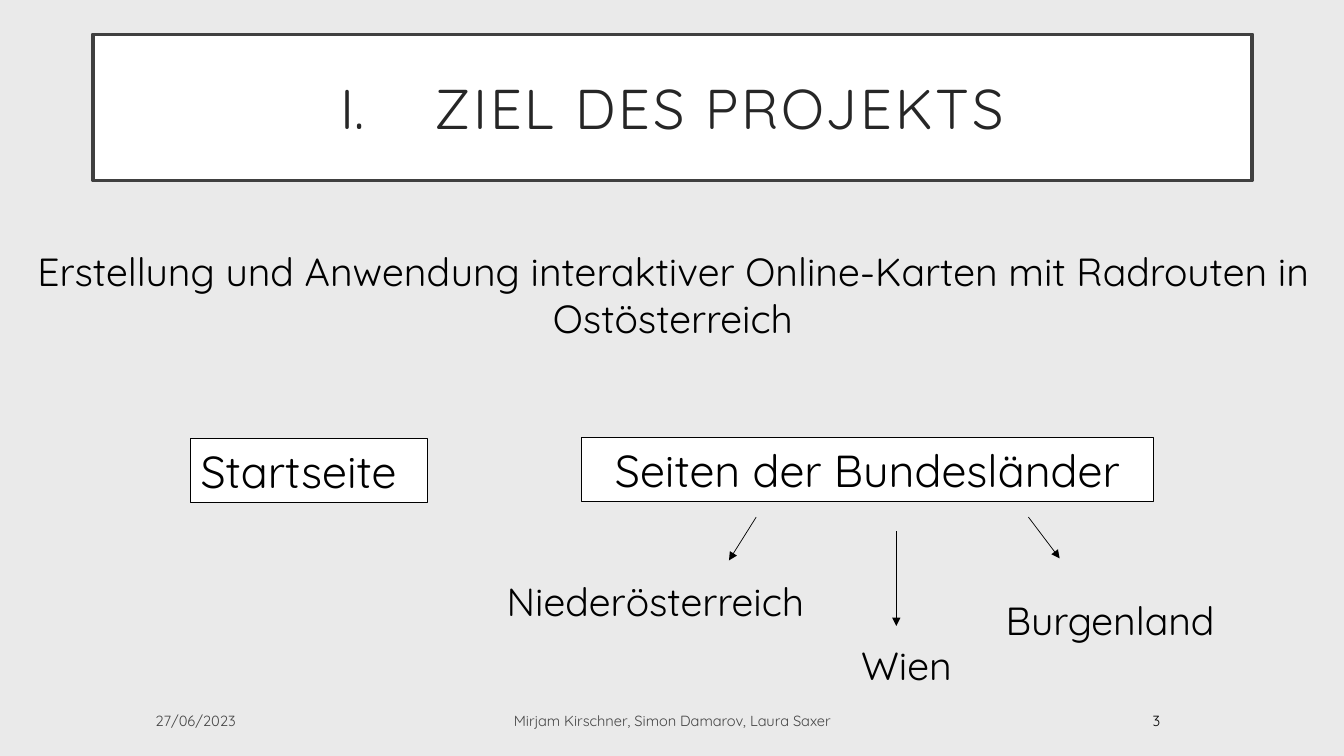
import pptx
import pptx.util
import pptx.dml.color
import pptx.enum.text
import pptx.oxml.ns
from lxml import etree

Inches = pptx.util.Inches
Pt = pptx.util.Pt
RGBColor = pptx.dml.color.RGBColor
PP_ALIGN = pptx.enum.text.PP_ALIGN
ANCHOR = pptx.enum.text.MSO_ANCHOR
qn = pptx.oxml.ns.qn

FONT = "Quicksand"
BACKGROUND = RGBColor(0xEA, 0xEA, 0xEA)
WHITE = RGBColor(0xFF, 0xFF, 0xFF)
BLACK = RGBColor(0x00, 0x00, 0x00)
FRAME = RGBColor(0x40, 0x40, 0x40)
TITLE_TEXT = RGBColor(0x26, 0x26, 0x26)


def write(shape, text, size, color=BLACK, align=PP_ALIGN.CENTER, anchor=ANCHOR.TOP):
    frame = shape.text_frame
    frame.text = text
    frame.word_wrap = True
    frame.auto_size = pptx.enum.text.MSO_AUTO_SIZE.NONE
    frame.vertical_anchor = anchor
    paragraph = frame.paragraphs[0]
    paragraph.alignment = align
    run = paragraph.runs[0]
    run.font.name = FONT
    run.font.size = Pt(size)
    run.font.color.rgb = color
    return run


def add_text(left, top, width, height, text, size, **style):
    box = slide.shapes.add_textbox(Inches(left), Inches(top), Inches(width), Inches(height))
    return box, write(box, text, size, **style)


presentation = pptx.Presentation()
presentation.slide_width = Inches(13.33)
presentation.slide_height = Inches(7.5)
slide = presentation.slides.add_slide(presentation.slide_layouts[5])
slide.background.fill.solid()
slide.background.fill.fore_color.rgb = BACKGROUND

title = slide.shapes.title
title.left, title.top = Inches(0.92), Inches(0.34)
title.width, title.height = Inches(11.5), Inches(1.45)
title.fill.solid()
title.fill.fore_color.rgb = WHITE
title.line.color.rgb = FRAME
title.line.width = Pt(2.5)
heading = write(title, "ZIEL DES PROJEKTS", 40, color=TITLE_TEXT, anchor=ANCHOR.MIDDLE)
heading.font._element.set("spc", "200")
margin = Inches(0.2)
title_frame = title.text_frame
title_frame.margin_left = title_frame.margin_right = margin
title_frame.margin_top = title_frame.margin_bottom = margin
numbering = title_frame.paragraphs[0]._p.get_or_add_pPr()
numbering.set("marL", str(Inches(0.94)))
numbering.set("indent", str(-Inches(0.94)))
etree.SubElement(numbering, qn("a:buFont"), typeface="+mj-lt")
etree.SubElement(numbering, qn("a:buAutoNum"), type="romanUcPeriod")

add_text(0.26, 2.4, 12.83, 1.04,
         "Erstellung und Anwendung interaktiver Online-Karten mit Radrouten in Ostösterreich", 28)

for left, top, width, text, align in [
    (5.77, 4.34, 5.67, "Seiten der Bundesländer", PP_ALIGN.CENTER),
    (1.89, 4.35, 2.35, "Startseite", PP_ALIGN.LEFT),
]:
    page, label = add_text(left, top, width, 0.64, text, 32, align=align)
    page.fill.solid()
    page.fill.fore_color.rgb = WHITE
    page.line.color.rgb = BLACK
    page.line.width = Pt(0.75)

for left, top, state in [
    (4.7, 5.68, "Niederösterreich"),
    (7.19, 6.31, "Wien"),
    (9.21, 5.87, "Burgenland"),
]:
    add_text(left, top, 3.6, 0.57, state, 28)

for start_x, start_y, end_x, end_y in [
    (7.5, 5.13, 7.23, 5.56),
    (8.89, 5.27, 8.89, 6.21),
    (10.2, 5.13, 10.51, 5.54),
]:
    arrow = slide.shapes.add_connector(
        pptx.enum.shapes.MSO_CONNECTOR.STRAIGHT,
        Inches(start_x), Inches(start_y), Inches(end_x), Inches(end_y))
    arrow.line.color.rgb = BLACK
    arrow.line.width = Pt(0.5)
    etree.SubElement(arrow.line._get_or_add_ln(), qn("a:tailEnd"), type="triangle")
    etree.SubElement(arrow._element.spPr, qn("a:effectLst"))

for left, width, text in [
    (0.44, 3, "27/06/2023"),
    (3.72, 5.9, "Mirjam Kirschner, Simon Damarov, Laura Saxer"),
]:
    footer, footer_text = add_text(left, 6.95, width, 0.4, text, 10.5, anchor=ANCHOR.MIDDLE)
    footer_color = footer_text.font._element.find(".//" + qn("a:srgbClr"))
    etree.SubElement(footer_color, qn("a:alpha"), val="70000")

page_number, digit = add_text(11.27, 6.95, 0.4, 0.4, "3", 10.5, anchor=ANCHOR.MIDDLE)
page_number.text_frame.margin_left = page_number.text_frame.margin_right = Inches(0.02)

presentation.save("out.pptx")
